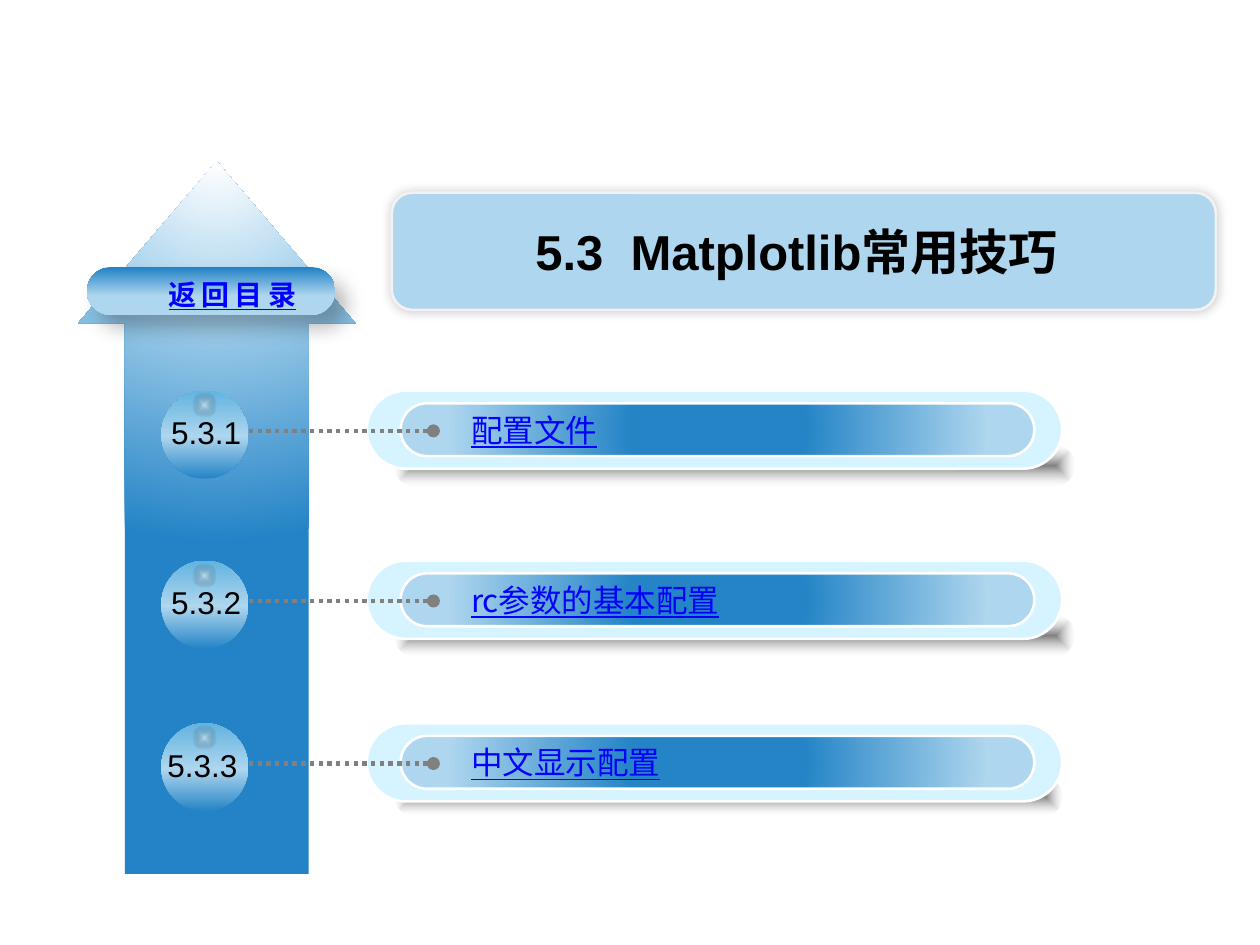
import pptx
import pptx.util
from lxml import etree
from pptx.dml.color import RGBColor
from pptx.enum.dml import MSO_LINE
from pptx.enum.shapes import MSO_CONNECTOR, MSO_SHAPE
from pptx.enum.text import MSO_ANCHOR, PP_ALIGN
from pptx.oxml.ns import qn
from pptx.util import Inches, Pt

WHITE = RGBColor(0xFF, 0xFF, 0xFF)
BLACK = RGBColor(0, 0, 0)
OFF_WHITE = RGBColor(0xF2, 0xF2, 0xF2)
GRAY = RGBColor(0x80, 0x80, 0x80)
SILVER = RGBColor(0xB0, 0xB0, 0xB0)
BLUE = RGBColor(0x23, 0x83, 0xC6)
BAR_BLUE = RGBColor(0x24, 0x84, 0xC6)
SKY = RGBColor(0x62, 0xB3, 0xE0)
PALE = RGBColor(0xAE, 0xD6, 0xEE)
ICE = RGBColor(0xD5, 0xF4, 0xFF)
LINK = RGBColor(0, 0, 0xFF)
LATIN, CJK = "Arial", "Noto Sans CJK SC"
CENTER = (50, 50, 50, 50)

# number, title, row top, number indent, shade width and height
ROWS = [
    ("5.3.1", "配置文件", 3.10, 0.13, 5.4, 0.31),
    ("5.3.2", "rc参数的基本配置", 4.45, 0.13, 5.4, 0.31),
    ("5.3.3", "中文显示配置", 5.74, 0.10, 5.3, 0.28),
]


def sub(parent, tag, **attrs):
    return etree.SubElement(parent, qn(tag), {k: str(v) for k, v in attrs.items()})


def add_color(parent, color, alpha=100):
    clr = sub(parent, "a:srgbClr", val=color)
    if alpha < 100:
        sub(clr, "a:alpha", val=alpha * 1000)


def set_gradient(sp, stops, angle=None, path="circle", to=CENTER):
    """Fill with (position, colour[, alpha]) stops, linear if an angle is given."""
    sp.fill.background()
    old = sp.element.spPr.find(qn("a:noFill"))
    grad = etree.Element(qn("a:gradFill"), rotWithShape="1")
    stop_list = sub(grad, "a:gsLst")
    for pos, *color in stops:
        add_color(sub(stop_list, "a:gs", pos=pos * 1000), *color)
    if angle is not None:
        sub(grad, "a:lin", ang=angle * 60000, scaled=0)
    else:
        route = sub(grad, "a:path", path=path)
        sub(route, "a:fillToRect", **{k: v * 1000 for k, v in zip("ltrb", to)})
    old.getparent().replace(old, grad)


def set_shadow(sp, alpha, blur, dist, angle):
    effects = sp.element.spPr.find(qn("a:effectLst"))
    shadow = sub(effects, "a:outerShdw", blurRad=Pt(blur), dist=Pt(dist),
                 dir=angle * 60000, algn="ctr", rotWithShape=0)
    add_color(shadow, BLACK, alpha)


def add_shape(shapes, kind, box, fill=None, line=None, adj=(), **gradient):
    sp = shapes.add_shape(kind, *map(Inches, box))
    sp.shadow.inherit = False
    for i, value in enumerate(adj):
        sp.adjustments[i] = value
    if gradient:
        set_gradient(sp, **gradient)
    else:
        sp.fill.solid()
        sp.fill.fore_color.rgb = fill
    if line is None:
        sp.line.fill.background()
    else:
        sp.line.color.rgb = line
        sp.line.width = Pt(1.5)
    return sp


def add_pill(shapes, box, **style):
    return add_shape(shapes, MSO_SHAPE.ROUNDED_RECTANGLE, box, adj=(0.5,), **style)


def set_text(sp, text, size, font, color, align=PP_ALIGN.LEFT, wrap=True, **style):
    tf = sp.text_frame
    tf.word_wrap = wrap
    tf.text = text
    p = tf.paragraphs[0]
    p.alignment = align
    r = p.runs[0]
    r.font.size, r.font.name, r.font.color.rgb = Pt(size), font, color
    for name, value in style.items():
        setattr(r.font, name, value)
    sub(r.font._element, "a:ea", typeface=font)
    return r


def add_label(s, box, *args, **style):
    return set_text(s.shapes.add_textbox(*map(Inches, box)), *args, **style)


def draw_arrow(s, left, top, width, height):
    add_shape(s.shapes, MSO_SHAPE.UP_ARROW, (left, top, width, height),
              adj=(0.663, 0.584), to=(50, -80, 50, 180),
              stops=[(0, WHITE), (35, PALE), (100, BLUE)])


def draw_title(s, left, top, width, height):
    panel = add_shape(s.shapes, MSO_SHAPE.ROUNDED_RECTANGLE,
                      (left, top, width, height), PALE, OFF_WHITE, adj=(0.174,))
    set_shadow(panel, 20, 6, 0, 225)
    title = s.shapes.title
    panel.element.addnext(title.element)
    title.left, title.top = Inches(left), Inches(top + 0.18)
    title.width, title.height = Inches(width - 0.12), Inches(height - 0.36)
    set_text(title, "5.3  Matplotlib常用技巧", 28, LATIN, BLACK, PP_ALIGN.CENTER, bold=True)
    title.text_frame.vertical_anchor = MSO_ANCHOR.MIDDLE


def draw_back_button(s, left, top, width, height):
    button = add_pill(s.shapes, (left, top, width, height),
                      stops=[(1, BLUE), (60, PALE)], angle=90)
    set_shadow(button, 28, 11.8, 10, 48)
    r = add_label(s, (left + 0.52, top + 0.03, 1.27, 0.37), "返回目录", 16, CJK, LINK,
                  PP_ALIGN.CENTER, wrap=False, bold=True, underline=True)
    r.font._element.set("spc", "300")


def draw_dotted_line(shapes, start, end, y):
    line = shapes.add_connector(MSO_CONNECTOR.STRAIGHT, *map(Inches, (start, y, end, y)))
    line.line.color.rgb = GRAY
    line.line.width = Pt(2.5)
    line.line.dash_style = MSO_LINE.ROUND_DOT
    sub(line.line._get_or_add_ln(), "a:headEnd", type="oval")
    sub(line.element.spPr, "a:effectLst")


def draw_row(s, left, top, number, text, indent, shade_width, shade_height):
    """One contents entry: numbered ball, dotted lead and bar with its heading."""
    shapes = s.shapes.add_group_shape().shapes
    bar = left + 1.63
    add_pill(shapes, (bar + 0.22, top + 0.44, shade_width, shade_height), path="shape",
             stops=[(0, BLACK, 50), (100, SILVER, 0)])
    add_pill(shapes, (bar, top, 5.52, 0.62), fill=ICE, line=WHITE)
    add_pill(shapes, (bar + 0.27, top + 0.1, 5.03, 0.42), line=WHITE,
             stops=[(27, BAR_BLUE), (85, PALE)])
    draw_dotted_line(shapes, bar + 0.53, left + 0.52, top + 0.32)
    add_shape(shapes, MSO_SHAPE.OVAL, (left, top, 0.69, 0.7), angle=270,
              stops=[(0, BAR_BLUE), (48, PALE), (100, SKY)])
    add_shape(shapes, MSO_SHAPE.OVAL, (left + 0.25, top + 0.02, 0.19, 0.19), path="shape",
              stops=[(0, WHITE, 50), (100, BLACK, 0)])
    add_label(s, (left - 0.15 + indent, top + 0.13, 0.87, 0.4), number, 18, LATIN, BLACK)
    add_label(s, (bar + 0.73, top + 0.11, 4.38, 0.4), text, 18, CJK, LINK, underline=True)


def main():
    prs = pptx.Presentation()
    prs.slide_width, prs.slide_height = Inches(10), Inches(7.5)
    s = prs.slides.add_slide(prs.slide_layouts[5])
    draw_arrow(s, 0.62, 1.28, 2.2, 5.66)
    draw_title(s, 3.11, 1.53, 6.54, 0.93)
    draw_back_button(s, 0.69, 2.12, 1.97, 0.38)
    for number, text, top, *sizes in ROWS:
        draw_row(s, 1.28, top, number, text, *sizes)
    prs.save("out.pptx")


if __name__ == "__main__":
    main()
